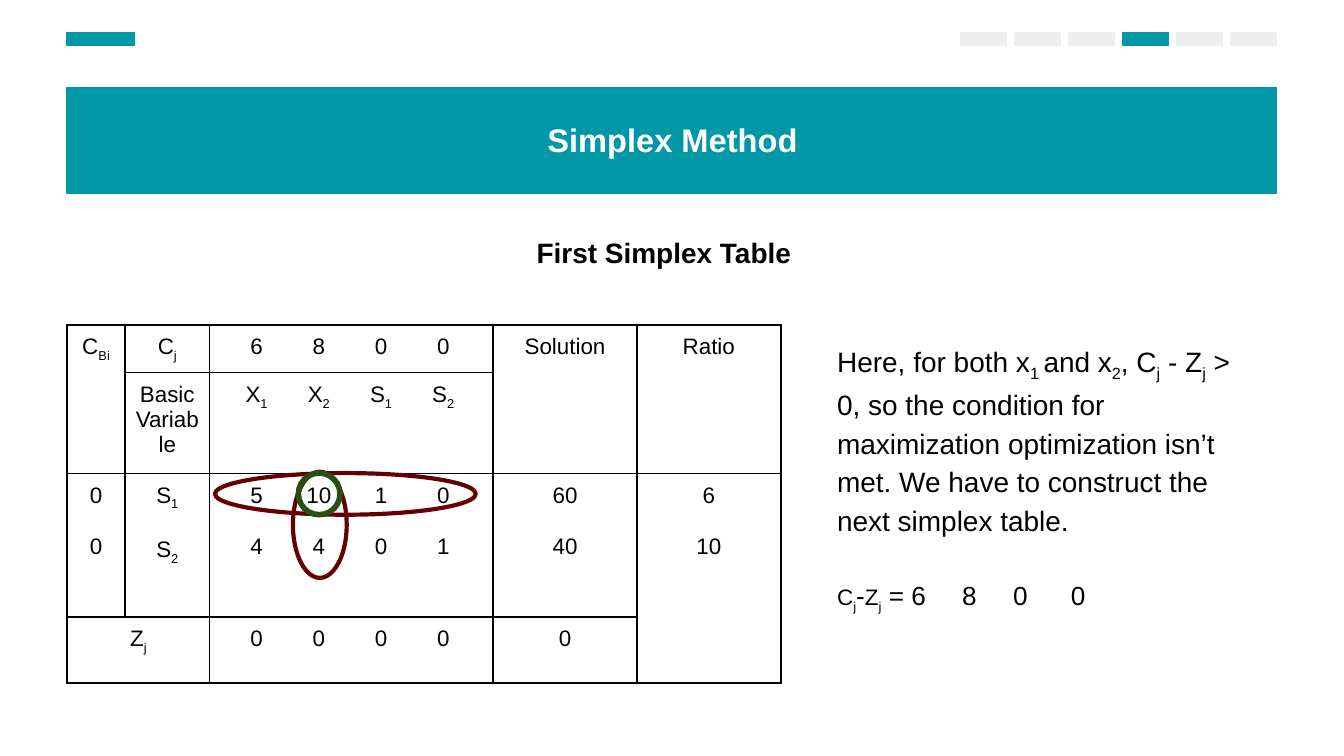
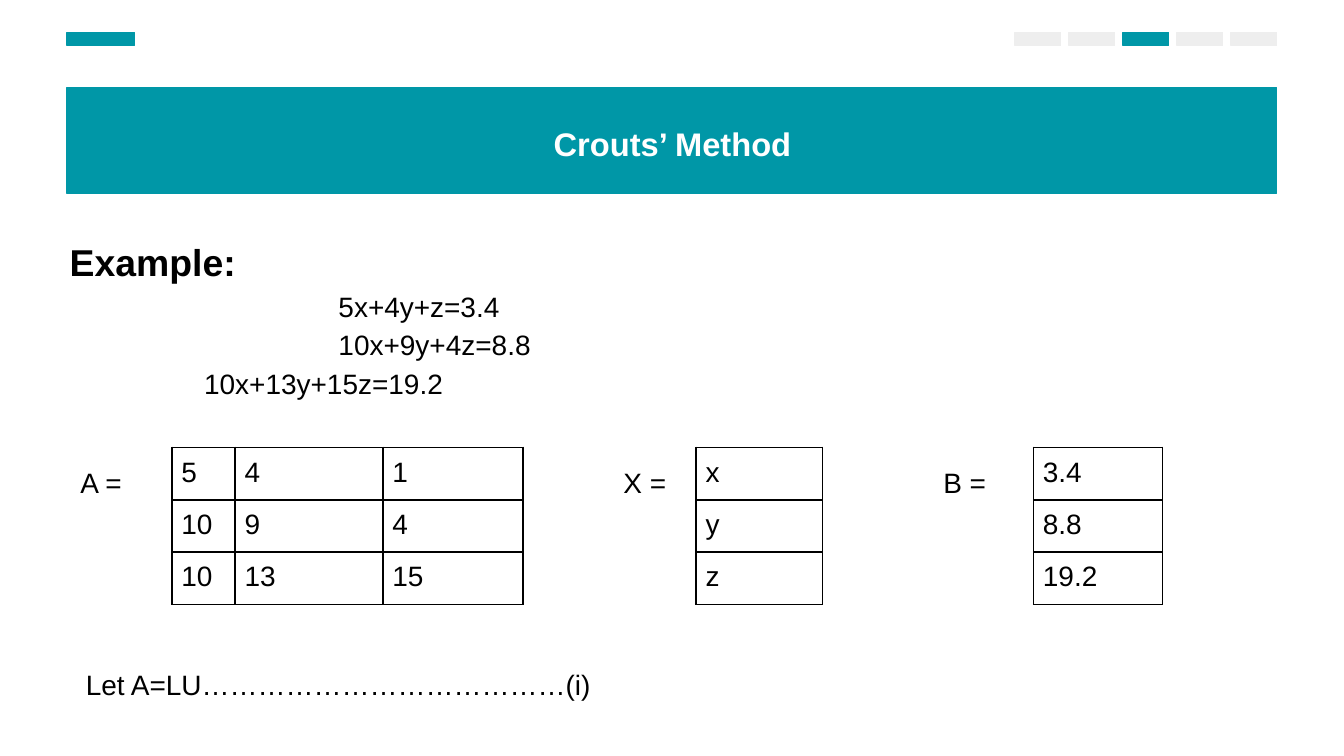
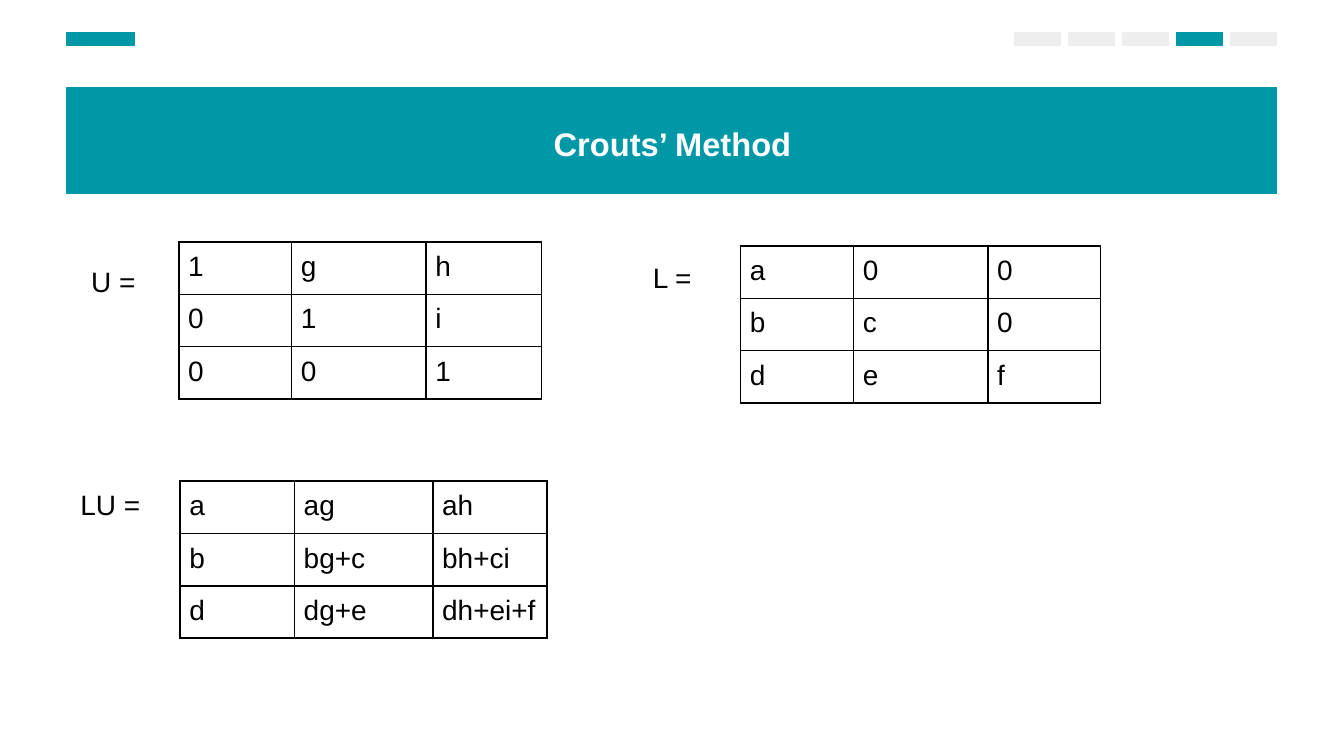
from collections import namedtuple
from lxml.etree import SubElement, Element
from pptx import Presentation
from pptx.dml.color import RGBColor as Rgb
from pptx.enum.shapes import MSO_SHAPE as Kind
from pptx.enum.text import MSO_ANCHOR as Anchor, MSO_AUTO_SIZE as Fit, PP_ALIGN as Align
from pptx.oxml.ns import qn
from pptx.util import Inches, Pt

WIDE, HIGH = Inches(10), Inches(5.625)
COL, ROW = WIDE / 100, HIGH / 56.25
TEAL, PALE, WHITE, BLACK = "0097A7", "EEEEEE", "FFFFFF", "000000"
WINE, GREEN = "660000", "274E13"
FONT = "Arial"


class Box(namedtuple("Box", "x y w h")):
    def at(self, x, y, w, h):
        return Box(self.x + x, self.y + y, w, h)

    def emu(self):
        return [int(n * unit) for n, unit in zip(self, (COL, ROW, COL, ROW))]


PAGE = Box(0, 0, 100, 56.25)
HEAD = PAGE.at(5, 2.4, 90, 12)


def tint(code):
    return Rgb.from_string(code)


def say(para, text, size=15, color=BLACK, bold=False, align=None,
        lead=None, gap=None, indent=0, tabs=(), stop="l"):
    if align is not None:
        para.alignment = align
    if lead:
        para.line_spacing = lead
    if gap:
        para.space_before = Pt(gap)
    props = para._p.get_or_add_pPr()
    if indent:
        props.set("marL", str(int(indent * COL)))
    if tabs:
        stops = SubElement(props, qn("a:tabLst"))
        for spot in tabs:
            SubElement(stops, qn("a:tab"), pos=str(int(spot * COL)), algn=stop)
    for i, piece in enumerate(text.split("~")):
        if piece:
            run = para.add_run()
            run.text = piece
            font = run.font
            font.name, font.size, font.bold = FONT, Pt(size), bold
            font.color.rgb = tint(color)
            if i % 2:
                run._r.get_or_add_rPr().set("baseline", "-25000")


def frame(shape, anchor=Anchor.TOP):
    body = shape.text_frame
    body.word_wrap = True
    body.auto_size = Fit.NONE
    body.vertical_anchor = anchor
    body.margin_left = body.margin_right = int(COL)
    body.margin_top = body.margin_bottom = int(ROW)
    return body


def note(slide, box, text, anchor=Anchor.TOP, **style):
    body = frame(slide.shapes.add_textbox(*box.emu()), anchor)
    say(body.paragraphs[0], text, **{"lead": 1.15, **style})
    return body


def form(slide, kind, box, fill=None, line=None, width=0.75):
    shape = slide.shapes.add_shape(kind, *box.emu())
    shape.shadow.inherit = False
    if fill:
        shape.fill.solid()
        shape.fill.fore_color.rgb = tint(fill)
    else:
        shape.fill.background()
    shape.line.color.rgb = tint(line or fill)
    shape.line.width = Pt(width)
    return shape


def header(slide, box, text, steps, now, lead=1.15):
    band = form(slide, Kind.RECTANGLE, box.at(0, 4.1, box.w, 7.9), TEAL)
    title = slide.shapes.title
    title.element.addprevious(band.element)
    title.left, title.top, title.width, title.height = box.at(5.1, 5.4, 79.9, 7.1).emu()
    say(frame(title).paragraphs[0], text, size=17.5, color=WHITE, bold=True,
        align=Align.CENTER, lead=lead)
    form(slide, Kind.RECTANGLE, box.at(0, 0, 5, 1), TEAL)
    for i in range(steps):
        left = box.w - 3.4 - (steps - 1 - i) * 4.02
        form(slide, Kind.RECTANGLE, box.at(left, 0, 3.4, 1), TEAL if i == now else PALE)


def edge(cell):
    cell.fill.background()
    props = cell._tc.get_or_add_tcPr()
    for i, side in enumerate("LRTB"):
        line = Element(qn("a:ln" + side), w=str(Pt(1)))
        paint = SubElement(line, qn("a:solidFill"))
        SubElement(paint, qn("a:srgbClr"), val=BLACK)
        props.insert(i, line)
    cell.margin_left = cell.margin_right = int(0.7 * COL)
    cell.margin_top = cell.margin_bottom = int(0.7 * ROW)


def grid(slide, box, cols, rows):
    place = box.at(0, 0, sum(cols), sum(rows)).emu()
    table = slide.shapes.add_table(len(rows), len(cols), *place).table
    table.first_row = table.horz_banding = False
    for col, size in zip(table.columns, cols):
        col.width = int(size * COL)
    for row, size in zip(table.rows, rows):
        row.height = int(size * ROW)
    for cell in table.iter_cells():
        edge(cell)
    return table


def enter(cell, text, gap=None, **style):
    body = cell.text_frame
    for i, line in enumerate(text.split("\n")):
        para = body.add_paragraph() if i else body.paragraphs[0]
        say(para, line, gap=gap if i else None, **style)


def matrix(slide, box, name, text, cols, shift):
    rows = [line.split() for line in text.split("/")]
    table = grid(slide, box.at(*shift, 0, 0), cols, [3.9] * len(rows))
    for r, row in enumerate(rows):
        for c, word in enumerate(row):
            enter(table.cell(r, c), word)
    note(slide, box.at(0, 0, 7.5, 4.5), name + " =")


def tableau(slide, box):
    table = grid(slide, box, [4.3, 6.3, 21.1, 10.7, 10.7], [3.3, 7.5, 10.7, 4.9])
    for first, last in (((0, 0), (1, 0)), ((0, 3), (1, 3)), ((0, 4), (1, 4)),
                        ((2, 4), (3, 4)), ((3, 0), (3, 1))):
        table.cell(*first).merge(table.cell(*last))
    words = [
        ["C~Bi~", "C~j~", "\t6\t8\t0\t0", "Solution", "Ratio"],
        ["", "Basic Variable", "\tX~1~\tX~2~\tS~1~\tS~2~", "", ""],
        ["0\n0", "S~1~\nS~2~", "\t5\t10\t1\t0\n\t4\t4\t0\t1", "60\n40", "6\n10"],
        ["Z~j~", "", "\t0\t0\t0\t0", "0", ""],
    ]
    stops = [2.8 + 4.63 * i for i in range(4)]
    for r, row in enumerate(words):
        for c, text in enumerate(row):
            if not text:
                continue
            style = {"tabs": stops, "stop": "ctr"} if c == 2 else {"align": Align.CENTER}
            enter(table.cell(r, c), text, size=12, gap=13.8, **style)
    for spot, color, width in (((11, 11, 19.4, 3.1), WINE, 2.25),
                               ((16.8, 10.9, 4, 7.9), WINE, 2.25),
                               ((17.2, 11, 3.1, 3.1), GREEN, 3)):
        form(slide, Kind.OVAL, box.at(*spot), line=color, width=width)


def verdict(slide, box):
    body = note(slide, box, "Here, for both x~1 ~and x~2~, C~j~ - Z~j~ > 0, so the condition "
                "for maximization optimization isn’t met. We have to construct the next "
                "simplex table.")
    para = body.add_paragraph()
    say(para, "C~j~", size=12, lead=1.15, gap=20, tabs=(9.3, 13.1, 17.4))
    for text, size in (("-", 14), ("Z~j~", 12), (" = 6\t8\t0\t0", 14)):
        say(para, text, size=size)


def system(slide, box):
    body = note(slide, box, "Example:", size=20, bold=True)
    for text, indent in (("5x+4y+z=3.4", 20), ("10x+9y+4z=8.8", 20),
                         ("10x+13y+15z=19.2", 10)):
        say(body.add_paragraph(), text, lead=1.15, indent=indent)


def simplex(slide):
    header(slide, HEAD, "Simplex Method", 6, 3, lead=1.05)
    note(slide, PAGE.at(33, 16, 32.8, 5.1), "First Simplex Table", Anchor.MIDDLE,
         bold=True, align=Align.CENTER)
    tableau(slide, PAGE.at(5, 24.2, 53.1, 26.4))
    verdict(slide, PAGE.at(61.3, 24.2, 32.8, 24.7))


def example(slide):
    header(slide, HEAD, "Crouts’ Method", 5, 2)
    system(slide, PAGE.at(4.2, 16.3, 85.8, 14.2))
    for left, name, text, cols, shift in (
            (5, "A", "5 4 1/10 9 4/10 13 15", [4.7, 11, 10.4], 7.8),
            (45.4, "X", "x/y/z", [9.4], 6.4),
            (69.2, "B", "3.4/8.8/19.2", [9.6], 7.7)):
        matrix(slide, PAGE.at(left, 33.3, 0, 0), name, text, cols, (shift, 0))
    note(slide, PAGE.at(5.4, 48.3, 85.8, 4.5), "Let A=LU…………………………………(i)")


def factors(slide):
    header(slide, HEAD, "Crouts’ Method", 5, 3)
    for left, top, name, text, cols, shift in (
            (5.8, 18.3, "U", "1 g h/0 1 i/0 0 1", [8.4, 10, 8.6], (7.5, -0.3)),
            (47.6, 18, "L", "a 0 0/b c 0/d e f", [8.4, 10, 8.4], (7.5, 0.3)),
            (5, 34.9, "LU", "a ag ah/b bg+c bh+ci/d dg+e dh+ei+f",
             [8.5, 10.3, 8.5], (8.4, 0.9))):
        matrix(slide, PAGE.at(left, top, 0, 0), name, text, cols, shift)


def main():
    deck = Presentation()
    deck.slide_width, deck.slide_height = WIDE, HIGH
    for build in (simplex, example, factors):
        build(deck.slides.add_slide(deck.slide_layouts[5]))
    deck.save("out.pptx")


if __name__ == "__main__":
    main()
